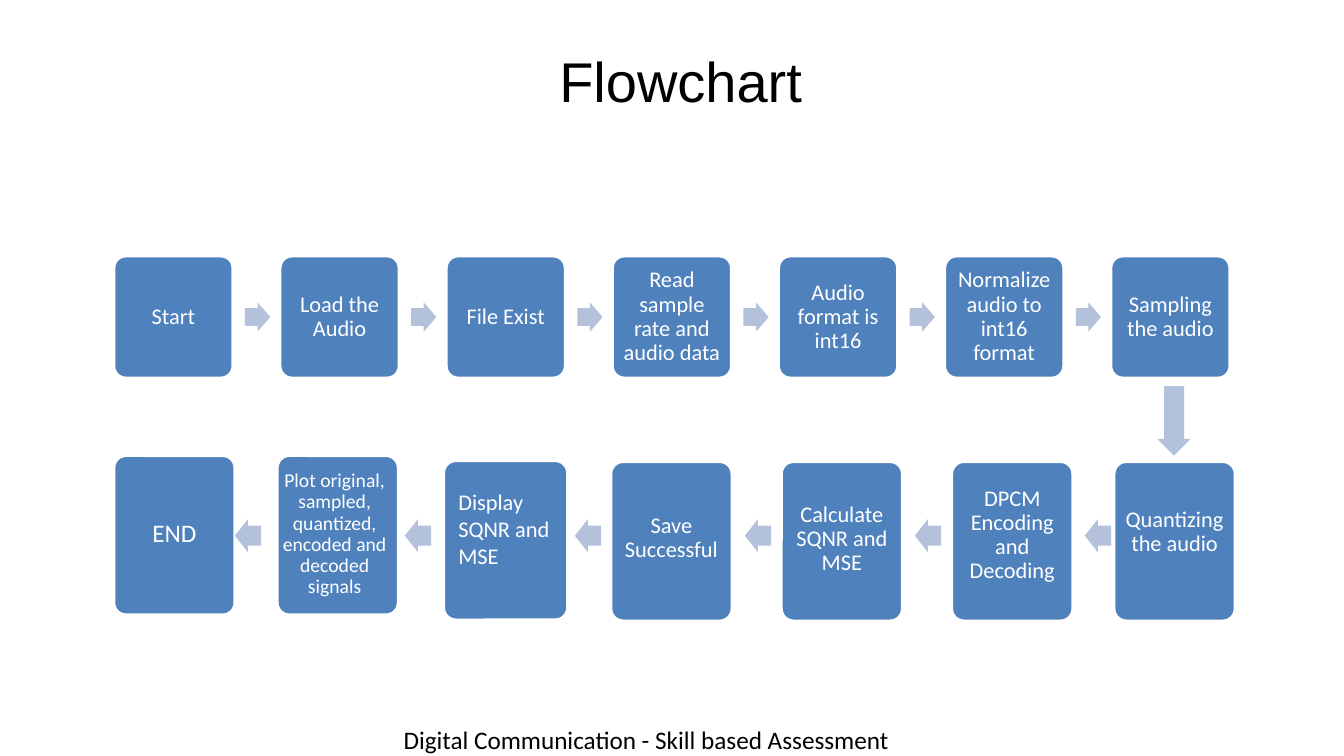
from pptx import Presentation
from pptx.dml.color import RGBColor
from pptx.enum import shapes, text
from pptx.util import Inches, Pt

BLUE, PALE, WHITE, BLACK = "4F81BD", "B3C1DB", "FFFFFF", "000000"
SHAPE, ALIGN, ANCHOR = shapes.MSO_SHAPE, text.PP_ALIGN, text.MSO_ANCHOR

TOP_STEPS = ["Start", "Load the Audio", "File Exist", "Read sample rate and audio data",
             "Audio format is int16", "Normalize audio to int16 format", "Sampling the audio"]

# Text, left, top, width, format
BOTTOM_STEPS = [
    ("END", 1.13, 4.52, 1.2, dict(size=18, lift=0.03, spacing=1)),
    ("Plot original, sampled, quantized, encoded and decoded signals", 2.75, 4.52, 1.2,
     dict(size=14, lift=0.01, left=0, right=0.06)),
    ("Display SQNR and MSE", 4.4, 4.57, 1.23,
     dict(lift=0.12, left=0.11, right=0.11, align=ALIGN.LEFT, spacing=1)),
    ("Save Successful", 6.06, 4.58, 1.2, dict(lift=0.03)),
    ("Calculate SQNR and MSE", 7.75, 4.58, 1.2, dict(lift=0.02)),
    ("DPCM Encoding and Decoding", 9.44, 4.58, 1.2, dict(lift=0.06)),
    ("Quantizing the audio", 11.05, 4.58, 1.2, dict(lift=0.09)),
]


def color(value):
    return RGBColor.from_string(value)


def write(tf, words, size=16, font="Calibri", fill=WHITE, align=ALIGN.CENTER, spacing=0.9,
          anchor=ANCHOR.MIDDLE):
    tf.word_wrap = True
    tf.vertical_anchor = anchor
    p = tf.paragraphs[0]
    p.alignment, p.line_spacing = align, spacing
    r = p.add_run()
    r.text = words
    r.font.size, r.font.name = Pt(size), font
    r.font.color.rgb = color(fill)


def add_filled(slide, kind, left, top, width, height, fill, adjust):
    sp = slide.shapes.add_shape(kind, Inches(left), Inches(top), Inches(width), Inches(height))
    sp.shadow.inherit = False
    sp.fill.solid()
    sp.fill.fore_color.rgb = color(fill)
    for i, value in enumerate(adjust):
        sp.adjustments[i] = value
    return sp


def add_step(slide, words, left_edge, top, width, height, left=0.03, right=0.03, pad=0.03,
             lift=0, **fmt):
    """Draw a rounded step; lift moves its text above the middle."""
    sp = add_filled(slide, SHAPE.ROUNDED_RECTANGLE, left_edge, top, width, height, BLUE, [0.1])
    sp.line.color.rgb = color(WHITE)
    sp.line.width = Pt(2)
    tf = sp.text_frame
    tf.margin_left, tf.margin_right = Inches(left), Inches(right)
    tf.margin_top, tf.margin_bottom = Inches(pad), Inches(pad + 2 * lift)
    write(tf, words, **fmt)


def add_arrow(slide, kind, left, top, width, height):
    sp = add_filled(slide, kind, left, top, width, height, PALE, [0.6, 0.5])
    sp.line.fill.background()


def main():
    prs = Presentation()
    prs.slide_width, prs.slide_height = Inches(13.33), Inches(7.5)
    slide = prs.slides.add_slide(prs.slide_layouts[5])

    # Title
    title = slide.shapes.title
    title.left, title.top = Inches(0.75), Inches(0.17)
    title.width, title.height = Inches(12), Inches(1.25)
    write(title.text_frame, "Flowchart", size=40, font="Arial", fill=BLACK, spacing=1)

    # Footer line
    footer = slide.shapes.add_textbox(Inches(3.8), Inches(7.14), Inches(5.22), Inches(0.4))
    write(footer.text_frame, "Digital Communication - Skill based Assessment", size=18,
          fill=BLACK, spacing=1, anchor=ANCHOR.TOP)

    # Top row, left to right
    for i, words in enumerate(TOP_STEPS):
        add_step(slide, words, 1.13 + 1.648 * i, 2.54, 1.18, 1.21, left=0.07, right=0.07, pad=0.07)
    for i in range(len(TOP_STEPS) - 1):
        add_arrow(slide, SHAPE.RIGHT_ARROW, 2.43 + 1.648 * i, 3, 0.25, 0.29)

    # Turn to the second row
    add_arrow(slide, SHAPE.DOWN_ARROW, 11.48, 3.83, 0.33, 0.69)

    # Bottom row, right to left
    for words, left_edge, top, width, fmt in BOTTOM_STEPS:
        add_step(slide, words, left_edge, top, width, 1.58, **fmt)
    for i in range(len(BOTTOM_STEPS) - 1):
        add_arrow(slide, SHAPE.LEFT_ARROW, 2.33 + 1.686 * i, 5.15, 0.26, 0.33)

    prs.save("out.pptx")


if __name__ == "__main__":
    main()
